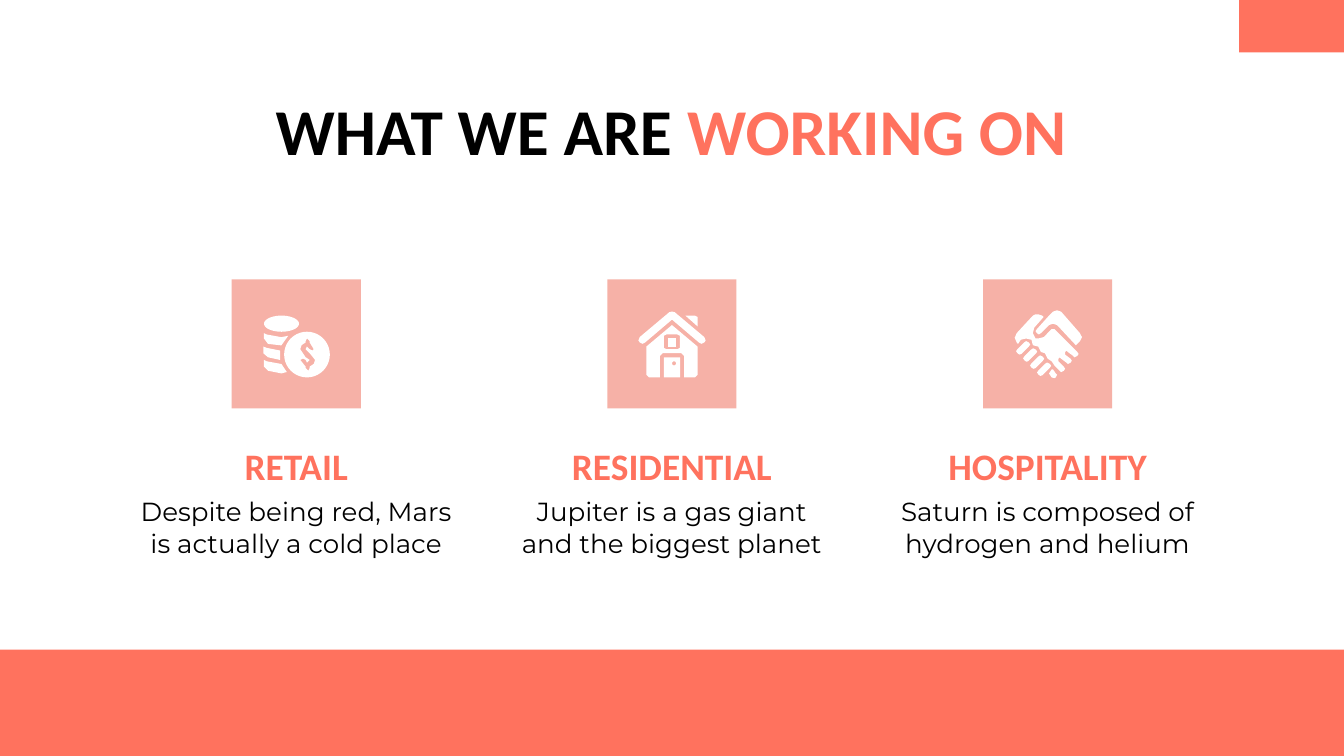
from dataclasses import dataclass
from math import cos, pi, sin

from pptx import Presentation
from pptx.dml.color import RGBColor
from pptx.enum.shapes import MSO_SHAPE
from pptx.enum.text import MSO_ANCHOR, PP_ALIGN
from pptx.util import Cm, Pt

RECT = MSO_SHAPE.RECTANGLE
TOP, MIDDLE, BOTTOM = MSO_ANCHOR.TOP, MSO_ANCHOR.MIDDLE, MSO_ANCHOR.BOTTOM
CENTER = PP_ALIGN.CENTER
COLORS = {"coral": "FF725E", "blush": "F6B1A7", "white": "FFFFFF", "black": "000000"}

WIDE, HIGH = 25.4, 14.29
LEFT, PITCH, COL = 2.26, 7.1, 6.68
TILE, TILE_TOP = 2.44, 5.28
GRID = 96  # icon units along one tile side

Point = tuple[float, float]
Loop = list[Point]
Part = list[Loop]  # an outline followed by its holes


@dataclass
class Topic:
    name: str
    note: str
    icon: list[Part]


def mirror(half: Loop) -> Loop:
    """Close a half outline by reflecting it in the tile's middle."""
    return half + [(GRID - x, y) for x, y in reversed(half)]


def shift(loop: Loop, dx: float, dy: float) -> Loop:
    return [(x + dx, y + dy) for x, y in loop]


def oval(cx: float, cy: float, rx: float, ry: float, count: int = 40) -> Loop:
    turns = [2 * pi * i / count for i in range(count)]
    return [(cx + rx * cos(t), cy + ry * sin(t)) for t in turns]


def paint(shape, color: str) -> None:
    shape.shadow.inherit = False
    shape.fill.solid()
    shape.fill.fore_color.rgb = RGBColor.from_string(COLORS[color])
    shape.line.fill.background()


def add_rect(slide, x: float, y: float, w: float, h: float, color: str) -> None:
    paint(slide.shapes.add_shape(RECT, Cm(x), Cm(y), Cm(w), Cm(h)), color)


def add_text(slide, x: float, y: float, w: float, h: float, *runs: tuple[str, str],
             size: float, font: str = "Calibri", bold: bool = True, anchor=MIDDLE) -> None:
    box = slide.shapes.add_textbox(Cm(x), Cm(y), Cm(w), Cm(h))
    frame = box.text_frame
    frame.word_wrap = True
    frame.vertical_anchor = anchor
    frame.margin_left = frame.margin_right = Cm(0.25)
    frame.margin_top = frame.margin_bottom = Cm(0.25)
    para = frame.paragraphs[0]
    para.alignment = CENTER
    for text, color in runs:
        run = para.add_run()
        run.text = text
        run.font.name, run.font.size, run.font.bold = font, Pt(size), bold
        run.font.color.rgb = RGBColor.from_string(COLORS[color])


def add_icon(slide, x: float, y: float, icon: list[Part]) -> None:
    group = slide.shapes.add_group_shape()
    for part in icon:
        loops = [[(Cm(x + px * TILE / GRID), Cm(y + py * TILE / GRID)) for px, py in loop]
                 for loop in part]
        pen = group.shapes.build_freeform(*loops[0][0])
        pen.add_line_segments(loops[0][1:])
        for hole in loops[1:]:
            pen.move_to(*hole[0])
            pen.add_line_segments(hole[1:])
        paint(pen.convert_to_shape(), "white")


# Coins: a dollar coin beside a stack
DOLLAR = [(56, 44), (58, 46), (58, 47), (61, 52), (60, 53), (58, 52), (56, 50), (55, 52),
          (58, 55), (62, 60), (61, 63), (58, 65), (58, 66), (57, 68), (55, 66), (55, 65),
          (51, 60), (53, 59), (55, 60), (56, 62), (58, 60), (55, 58), (51, 52), (52, 49),
          (55, 47), (55, 46)]
COINS = [
    [oval(56, 56, 17, 17), DOLLAR],
    [oval(37, 33, 13, 6)],
    [[(24, 40), (24, 44), (27, 48), (36, 49), (37, 49), (42, 42), (37, 43), (26, 41)]],
    [[(24, 60), (24, 65), (27, 68), (37, 70), (41, 69), (37, 63), (26, 61)]],
    [[(23.5, 50), (23.5, 55), (27, 58), (36, 60), (36, 53), (26, 51)]],
]

# House: chimney, door, window, roof and wall
HOUSE = [
    [[(58, 27), (67, 35), (67, 28), (65, 27)]],
    [mirror([(42, 58), (42, 73)]), oval(49.5, 62.5, 1.5, 1.5)],
    [mirror([(45, 44), (45, 50)])],
    [mirror([(48, 30), (28, 47), (26, 48), (24, 47), (23, 45.5), (24, 43), (46, 24.5),
             (48, 24)])],
    [mirror([(48, 34), (29, 50), (29, 71), (31, 73), (39, 73), (39, 57), (41, 55)]),
     mirror([(44, 41), (42, 42), (42, 51), (44, 52)])],
]

# Handshake: four fingers, a fingertip and two hands
FINGER = [(32, 46), (30.5, 47), (25.5, 52), (24.5, 53.5), (25.5, 55), (27, 56), (28.5, 55.5),
          (34, 50), (35, 48.5), (34, 47)]
TIP = [(52, 67), (51, 67), (49, 70), (51, 73), (53, 73.5), (54, 73), (55, 71), (54, 70)]
LOWER = [(41, 26), (39, 26), (37, 27), (25, 40), (23.5, 43.5), (25, 47), (26, 48), (28, 45),
         (32, 44), (36, 45), (37, 49), (41, 50), (43, 54), (46, 55), (48, 59), (51, 61),
         (53, 64), (57, 68), (58, 69), (60, 68), (61, 66.5), (60, 65), (56, 61), (56, 59),
         (57, 58), (58, 59), (62, 62), (63, 63), (65, 62), (66, 60.5), (65, 59), (61, 56),
         (61, 54), (62, 53), (63, 54), (67, 57), (68, 58), (70, 57), (71, 55.5), (70, 54),
         (53, 37), (51, 37), (45, 43), (41, 44), (39, 44), (37, 40), (38, 36), (45, 28),
         (44, 27)]
UPPER = [(55, 23), (52, 24), (49, 27), (40, 37), (39, 38.5), (40, 40), (41.5, 41), (43, 40),
         (49, 34), (52, 33), (55, 34), (69, 49), (72, 46), (73.5, 43), (72, 40), (58, 24)]
HANDS = [[shift(FINGER, 5.2 * i, 5.3 * i)] for i in range(4)] + [[TIP], [LOWER], [UPPER]]

TOPICS = [
    Topic("RETAIL", "Despite being red, Mars is actually a cold place", COINS),
    Topic("RESIDENTIAL", "Jupiter is a gas giant and the biggest planet", HOUSE),
    Topic("HOSPITALITY", "Saturn is composed of hydrogen and helium", HANDS),
]


def add_topic(slide, x: float, topic: Topic) -> None:
    add_text(slide, x, 8.23, COL, 1.24, (topic.name, "coral"), size=20, anchor=BOTTOM)
    add_text(slide, x, 9.12, COL, 1.57, (topic.note, "black"), size=14,
             font="Montserrat", bold=False, anchor=TOP)
    side = x + (COL - TILE) / 2
    add_rect(slide, side, TILE_TOP, TILE, TILE, "blush")
    add_icon(slide, side, TILE_TOP, topic.icon)


def main() -> None:
    deck = Presentation()
    deck.slide_width, deck.slide_height = Cm(WIDE), Cm(HIGH)
    slide = deck.slides.add_slide(deck.slide_layouts[6])

    # Bottom band and corner block
    add_rect(slide, 0, 12.28, WIDE, HIGH - 12.28, "coral")
    add_rect(slide, 23.42, 0, WIDE - 23.42, 0.99, "coral")

    # Heading
    add_text(slide, 1.65, 1.83, 22.07, 1.24, ("WHAT WE ARE ", "black"),
             ("WORKING ON", "coral"), size=35)

    # Three columns
    for i, topic in enumerate(TOPICS):
        add_topic(slide, LEFT + i * PITCH, topic)

    deck.save("out.pptx")


if __name__ == "__main__":
    main()
